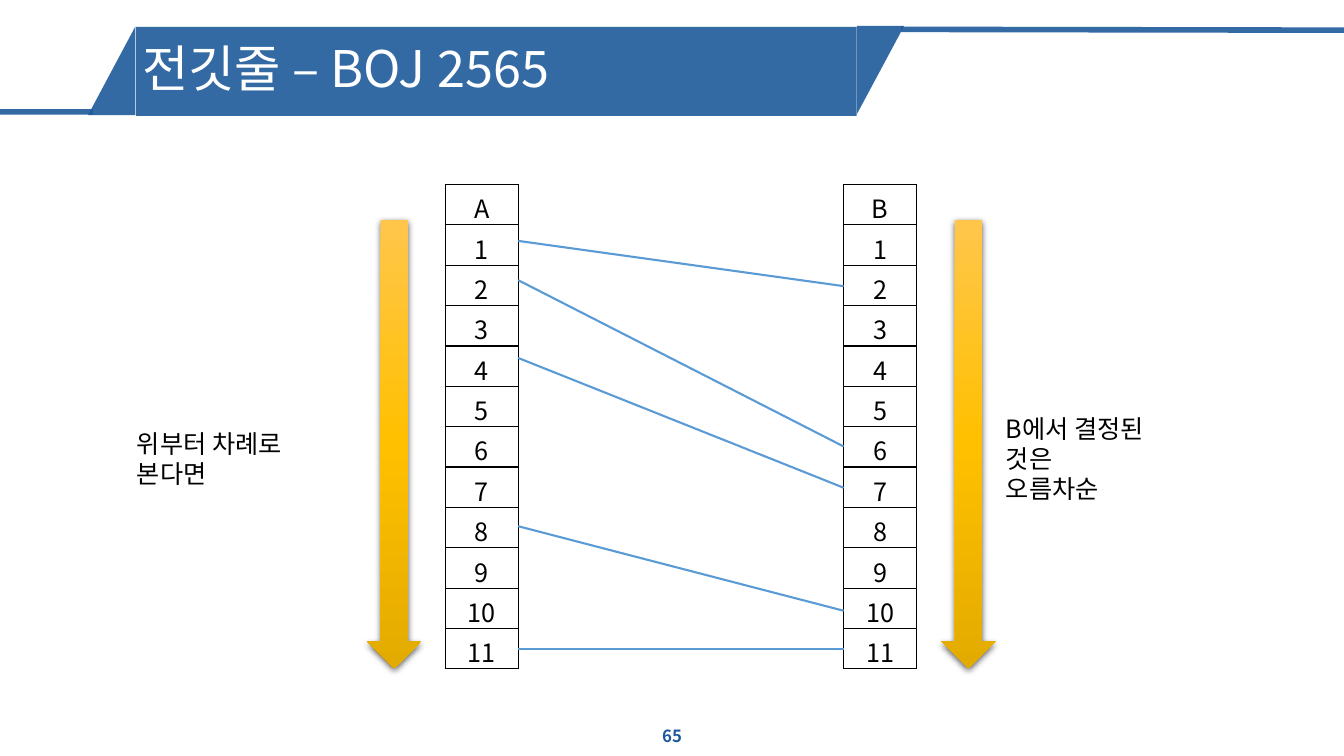
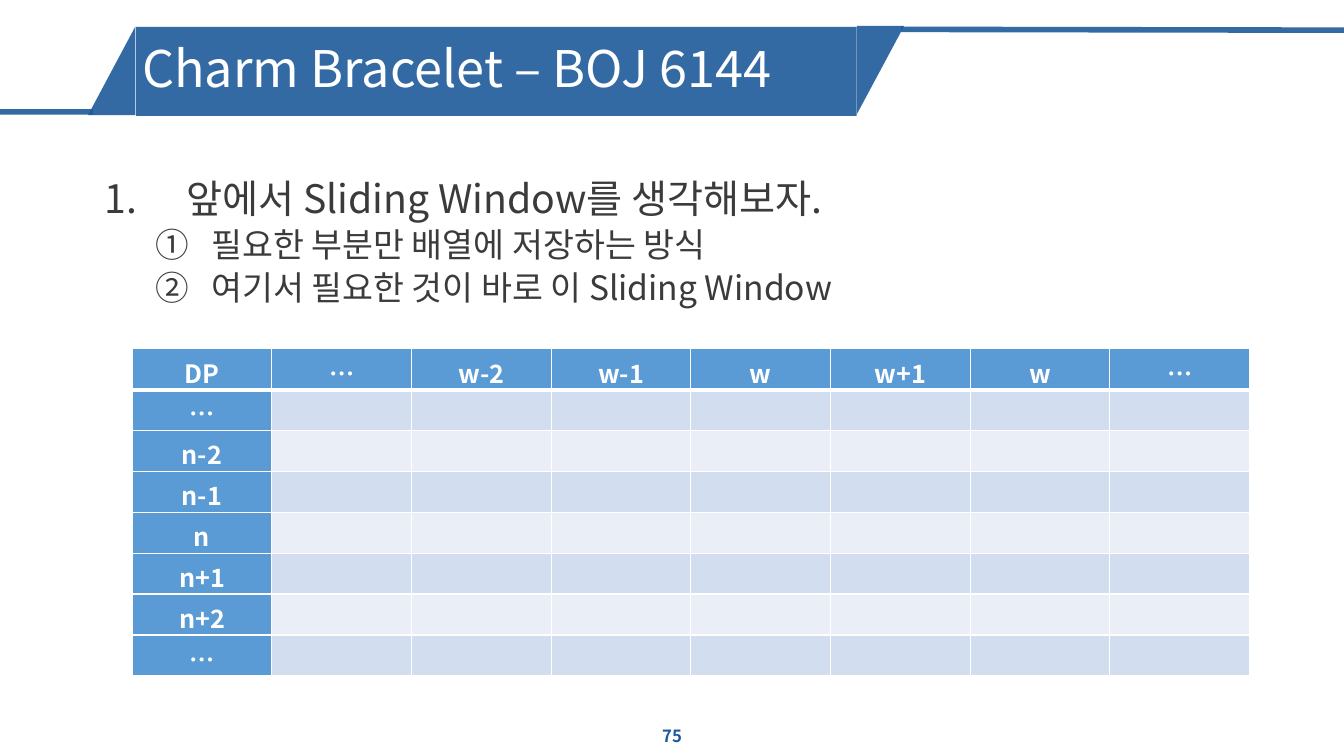
from lxml.etree import SubElement
from pptx import Presentation
from pptx.dml.color import RGBColor as Rgb
from pptx.enum.shapes import MSO_CONNECTOR as Link, MSO_SHAPE as Preset
from pptx.enum.text import MSO_ANCHOR as Anchor, PP_ALIGN as Align
from pptx.oxml import parse_xml
from pptx.oxml.ns import nsdecls, qn
from pptx.util import Cm, Pt

FONT = "Noto Sans CJK KR"
COLORS = {
    "band": "1E5A9B", "white": "FFFFFF", "black": "000000", "body": "3B3B3B",
    "blue": "5B9BD5", "stripe": "D2DEEF", "pale": "EAEFF7",
    "arrow_top": "FFC64B", "arrow_mid": "FFC000", "arrow_end": "E3AB00",
}


def rgb(color):
    """Return the named colour."""
    return Rgb.from_string(COLORS[color])


def style_text(paragraph, size, color, bold=False):
    """Format every run of a paragraph."""
    for run in paragraph.runs:
        run.font.name = FONT
        run.font.size = Pt(size)
        run.font.bold = bold
        run.font.color.rgb = rgb(color)


def make_translucent(element):
    """Give the solid colours inside an element 90 % opacity."""
    for color in element.iter(qn("a:srgbClr")):
        SubElement(color, qn("a:alpha"), val="90000")


def add_line(slide, start, end, color, width):
    """Draw a straight line without shadow between two points in cm."""
    line = slide.shapes.add_connector(
        Link.STRAIGHT, *(Cm(value) for value in (*start, *end)))
    line.line.color.rgb = rgb(color)
    line.line.width = Pt(width)
    SubElement(line._element.spPr, qn("a:effectLst"))
    return line


def add_preset(slide, preset, box, rotation=0):
    """Place an outline-free preset shape in a box given in cm."""
    shape = slide.shapes.add_shape(preset, *map(Cm, box))
    shape.shadow.inherit = False
    shape.line.fill.background()
    shape.rotation = rotation
    return shape


def add_text(slide, box, lines, size, color, bold=False, align=None,
             anchor=Anchor.TOP, spacing=None):
    """Add wrapped text with one paragraph per line and return its paragraphs."""
    frame = slide.shapes.add_textbox(*map(Cm, box)).text_frame
    frame.word_wrap = True
    frame.vertical_anchor = anchor
    frame.text = "\n".join(lines)
    for paragraph in frame.paragraphs:
        paragraph.alignment = align
        paragraph.line_spacing = spacing
        style_text(paragraph, size, color, bold)
    return frame.paragraphs


def add_header(slide, title, number):
    """Draw the title band, its rules, the title and the page number."""
    band_parts = [
        add_preset(slide, Preset.RIGHT_TRIANGLE, (21.08, 1.17, 2.22, 1.19), 90),
        add_line(slide, (2.34, 2.82), (0, 2.82), "band", 4),
        add_preset(slide, Preset.RIGHT_TRIANGLE, (1.7, 1.19, 2.23, 1.19), 270),
        add_line(slide, (33.87, 0.76), (22.71, 0.74), "band", 4),
        add_preset(slide, Preset.RECTANGLE, (3.43, 0.68, 18.16, 2.24)),
    ]
    for part in band_parts:
        if hasattr(part, "fill"):
            part.fill.solid()
            part.fill.fore_color.rgb = rgb("band")
        make_translucent(part._element.spPr)
    add_text(slide, (13.13, 18.03, 7.62, 1.02), [number], 12, "band", True,
             Align.CENTER, Anchor.MIDDLE)
    add_text(slide, (3.33, 0.76, 18.16, 2.06), [title], 36, "white",
             anchor=Anchor.MIDDLE, spacing=0.9)


def set_borders(cell, color, width, bottom):
    """Draw the four borders of a cell, the bottom one with its own width."""
    properties = cell._tc.get_or_add_tcPr()
    for index, side in enumerate("LRTB"):
        weight = Pt(bottom if side == "B" else width)
        properties.insert(index, parse_xml(
            f'<a:ln{side} {nsdecls("a")} w="{weight}"><a:solidFill>'
            f'<a:srgbClr val="{COLORS[color]}"/></a:solidFill></a:ln{side}>'))


def add_grid(slide, left, top, cell_size, rows, text_color, border,
             fill_of=None, bold=False, header_rule=1):
    """Add a table of equal cells; fill_of maps row and column to a colour."""
    width, height = map(Cm, cell_size)
    table = slide.shapes.add_table(
        len(rows), len(rows[0]), Cm(left), Cm(top),
        width * len(rows[0]), height * len(rows)).table
    table.first_row = table.horz_banding = False
    for column in table.columns:
        column.width = width
    for r, row in enumerate(rows):
        table.rows[r].height = height
        for c, label in enumerate(row):
            cell = table.cell(r, c)
            if fill_of:
                cell.fill.solid()
                cell.fill.fore_color.rgb = rgb(fill_of(r, c))
            else:
                cell.fill.background()
            set_borders(cell, border, 1, 1 if r else header_rule)
            if label:
                paragraph = cell.text_frame.paragraphs[0]
                paragraph.text = label
                paragraph.alignment = Align.CENTER
                style_text(paragraph, 18, text_color, bold)


def add_order_arrow(slide, left):
    """Add a golden downward arrow with a soft shadow."""
    arrow = add_preset(slide, Preset.DOWN_ARROW, (left, 5.54, 1.37, 11.3))
    arrow.fill.gradient()
    arrow.fill.gradient_angle = 270
    stops = arrow._element.spPr.find(qn("a:gradFill")).find(qn("a:gsLst"))
    stops.clear()
    for position, color in enumerate(("arrow_top", "arrow_mid", "arrow_end")):
        stop = SubElement(stops, qn("a:gs"), pos=str(position * 50000))
        SubElement(stop, qn("a:srgbClr"), val=COLORS[color])
    shadow = SubElement(
        arrow._element.spPr.find(qn("a:effectLst")), qn("a:outerShdw"),
        blurRad=str(Pt(4.5)), dist=str(Pt(1.5)), dir="5400000",
        algn="ctr", rotWithShape="0")
    tint = SubElement(shadow, qn("a:srgbClr"), val=COLORS["black"])
    SubElement(tint, qn("a:alpha"), val="63000")


def number_paragraph(paragraph, scheme, margin, hanging):
    """Number a paragraph automatically with a hanging indent in cm."""
    properties = paragraph._p.get_or_add_pPr()
    properties.set("marL", str(Cm(margin)))
    properties.set("indent", str(-Cm(hanging)))
    SubElement(properties, qn("a:buFont"), typeface="+mj-lt")
    SubElement(properties, qn("a:buAutoNum"), type=scheme)


def build_wires(slide):
    """Show the two pole columns and the wires between them."""
    add_header(slide, "전깃줄 – BOJ 2565", "65")
    for pole, left in (("A", 11.22), ("B", 21.26)):
        rows = [[pole]] + [[str(number)] for number in range(1, 12)]
        add_grid(slide, left, 4.65, (1.84, 0.81), rows, "black", "black")
    wires = ((6.07, 7.21), (7.06, 11.25), (9.02, 12.29),
             (13.26, 15.39), (16.36, 16.36))
    for start, end in wires:
        add_line(slide, (13.06, start), (21.26, end), "blue", 1.5)
    for left in (9.25, 23.72):
        add_order_arrow(slide, left)
    add_text(slide, (3.2, 10.67, 4.6, 1.8), ["위부터 차례로 본다면"], 18, "black")
    add_text(slide, (25.1, 10.29, 4.6, 2.6), ["B에서 결정된 것은", "오름차순"],
             18, "black")


def build_window(slide):
    """Show the sliding window steps and the empty DP table."""
    add_header(slide, "Charm Bracelet – BOJ 6144", "75")
    idea, *steps = add_text(
        slide, (2.39, 4.39, 29.11, 4),
        ["앞에서 Sliding Window를 생각해보자.", "필요한 부분만 배열에 저장하는 방식",
         "여기서 필요한 것이 바로 이 Sliding Window"], 28, "body", spacing=0.9)
    number_paragraph(idea, "arabicPeriod", 2.06, 2.06)
    for step in steps:
        step.level = 1
        step.space_before = Pt(5)
        number_paragraph(step, "circleNumDbPlain", 2.69, 1.42)
        style_text(step, 24, "body")

    def fill_of(row, column):
        """Colour the headings blue and band the other rows."""
        if row == 0 or column == 0:
            return "blue"
        return "stripe" if row % 2 else "pale"

    heading = ["DP", "…", "w-2", "w-1", "w", "w+1", "w", "…"]
    row_names = ["…", "n-2", "n-1", "n", "n+1", "n+2", "…"]
    rows = [heading] + [[name] + [""] * 7 for name in row_names]
    add_grid(slide, 3.33, 8.79, (3.52, 1.03), rows, "white", "white",
             fill_of, bold=True, header_rule=3)


def main():
    """Build and save the presentation."""
    deck = Presentation()
    deck.slide_width, deck.slide_height = Cm(33.87), Cm(19.05)
    for build in (build_wires, build_window):
        build(deck.slides.add_slide(deck.slide_layouts[6]))
    deck.save("out.pptx")


if __name__ == "__main__":
    main()
